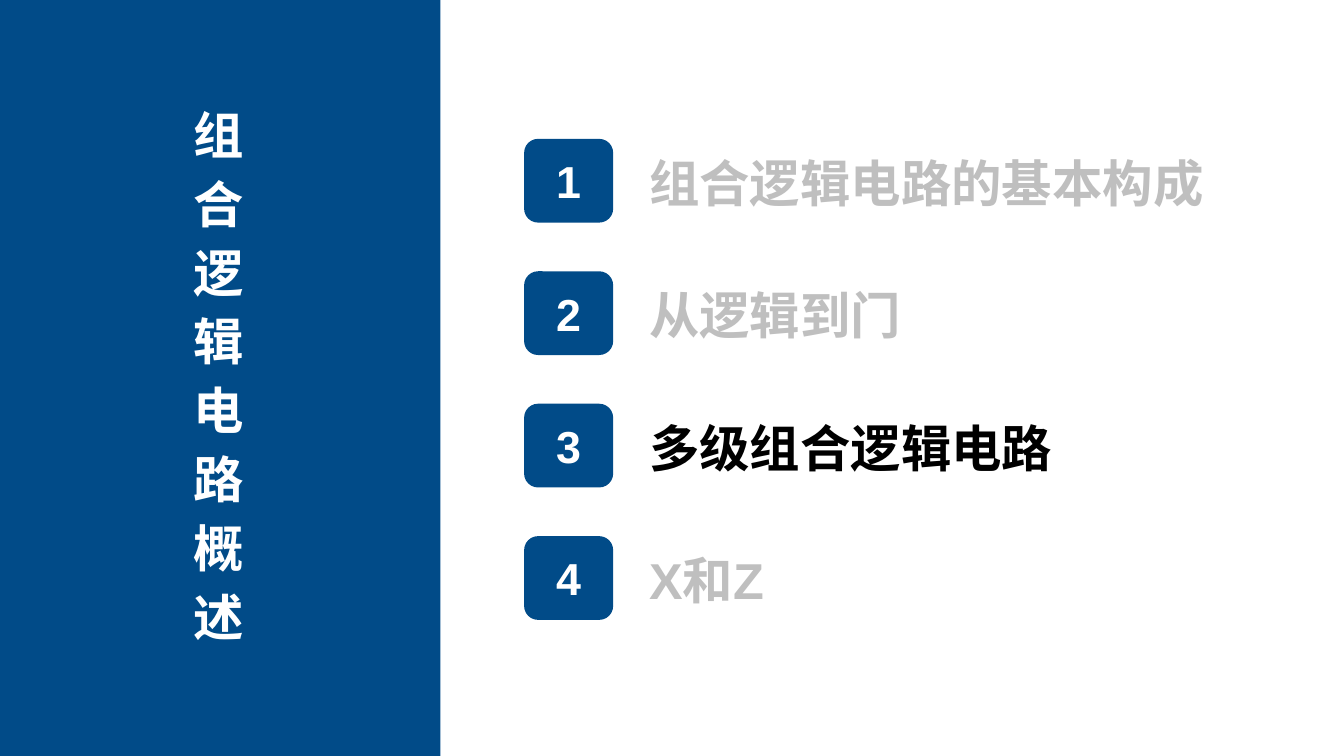
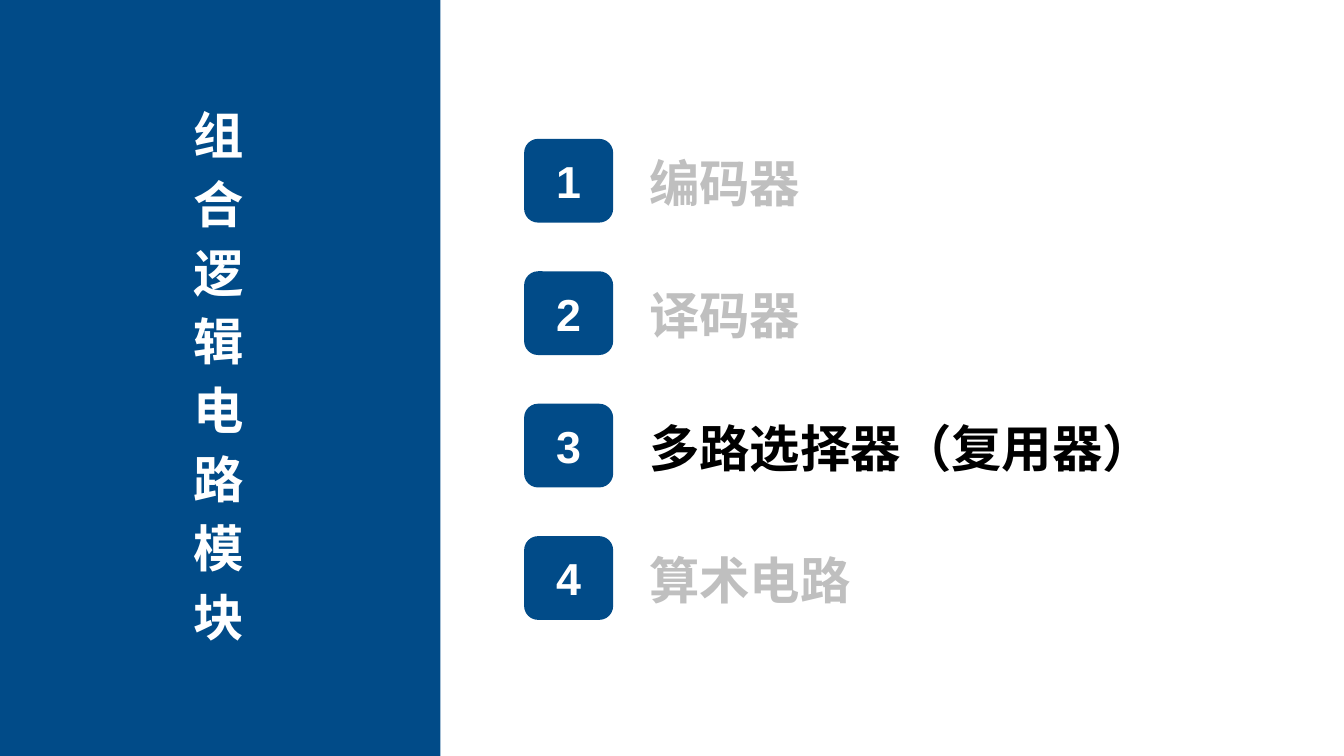
from pptx import Presentation
from pptx import util as u
from pptx.dml.color import RGBColor
from pptx.enum import shapes, text

Pt = u.Pt
FONT = "Arial"
COLORS = {
    "band": "014B88",
    "light": "FFFFFF",
    "current": "000000",
    "muted": "BFBFBF",
}
SLIDE_W, SLIDE_H = 960, 540
BAND_W = 314.6
TILE_LEFT, TILE_TOP, TILE_W, TILE_H = 374.4, 99.2, 63.6, 59.8
LABEL_LEFT, LABEL_TOP, LABEL_W, LABEL_H = 463.7, 108.2, 400, 44
ROW_STEP = 94.6

# Chapter title, its sections, and the number of the current section
AGENDAS = [
    ("组合逻辑电路概述",
     ["组合逻辑电路的基本构成", "从逻辑到门", "多级组合逻辑电路", "X和Z"], 3),
    ("组合逻辑电路模块",
     ["编码器", "译码器", "多路选择器（复用器）", "算术电路"], 3),
]


def color(name):
    return RGBColor.from_string(COLORS[name])


def add_span(para, words, size, color_name):
    span = para.add_run()
    span.text = words
    span.font.name = FONT
    span.font.size = Pt(size)
    span.font.bold = True
    span.font.color.rgb = color(color_name)


def set_frame(frame, anchor, wrap=True):
    frame.word_wrap = wrap
    frame.auto_size = text.MSO_AUTO_SIZE.NONE
    frame.vertical_anchor = anchor
    frame.margin_left = frame.margin_right = Pt(0)
    frame.margin_top = frame.margin_bottom = Pt(0)


def add_block(parent, kind, left, top, width, height):
    block = parent.add_shape(kind, Pt(left), Pt(top), Pt(width), Pt(height))
    block.shadow.inherit = False
    block.fill.solid()
    block.fill.fore_color.rgb = color("band")
    block.line.fill.background()
    return block


def prepare_layout(layout, page):
    """Give the layout its side band and the place of the vertical title."""
    band = add_block(page.shapes, shapes.MSO_SHAPE.RECTANGLE,
                     0, 0, BAND_W, SLIDE_H)
    layout.shapes.element.insert(2, band.element)
    title = layout.placeholders[0]
    title.left, title.top = Pt(81.4), Pt(74.2)
    title.width, title.height = Pt(149.8), Pt(391.7)


def add_vertical_title(page, words):
    frame = page.shapes.title.text_frame
    set_frame(frame, text.MSO_ANCHOR.TOP)
    for index, letter in enumerate(words):
        para = frame.add_paragraph() if index else frame.paragraphs[0]
        para.alignment = text.PP_ALIGN.CENTER
        para.space_after = Pt(6)
        add_span(para, letter, 36, "light")


def add_section(page, number, words, is_current):
    offset = (number - 1) * ROW_STEP
    row = page.shapes.add_group_shape().shapes

    # Numbered tile
    tile = add_block(row, shapes.MSO_SHAPE.ROUNDED_RECTANGLE,
                     TILE_LEFT, TILE_TOP + offset, TILE_W, TILE_H)
    set_frame(tile.text_frame, text.MSO_ANCHOR.MIDDLE)
    para = tile.text_frame.paragraphs[0]
    para.alignment = text.PP_ALIGN.CENTER
    add_span(para, str(number), 32, "light")

    # Section name
    box = row.add_textbox(Pt(LABEL_LEFT), Pt(LABEL_TOP + offset),
                          Pt(LABEL_W), Pt(LABEL_H))
    set_frame(box.text_frame, text.MSO_ANCHOR.MIDDLE)
    add_span(box.text_frame.paragraphs[0], words, 36,
             "current" if is_current else "muted")


def main():
    deck = Presentation()
    deck.slide_width, deck.slide_height = Pt(SLIDE_W), Pt(SLIDE_H)
    layout = deck.slide_layouts.get_by_name("Title Only")
    pages = [deck.slides.add_slide(layout) for _ in AGENDAS]
    prepare_layout(layout, pages[0])

    for page, (title, sections, current) in zip(pages, AGENDAS):
        add_vertical_title(page, title)
        for number, words in enumerate(sections, 1):
            add_section(page, number, words, number == current)

    deck.save("out.pptx")


if __name__ == "__main__":
    main()
